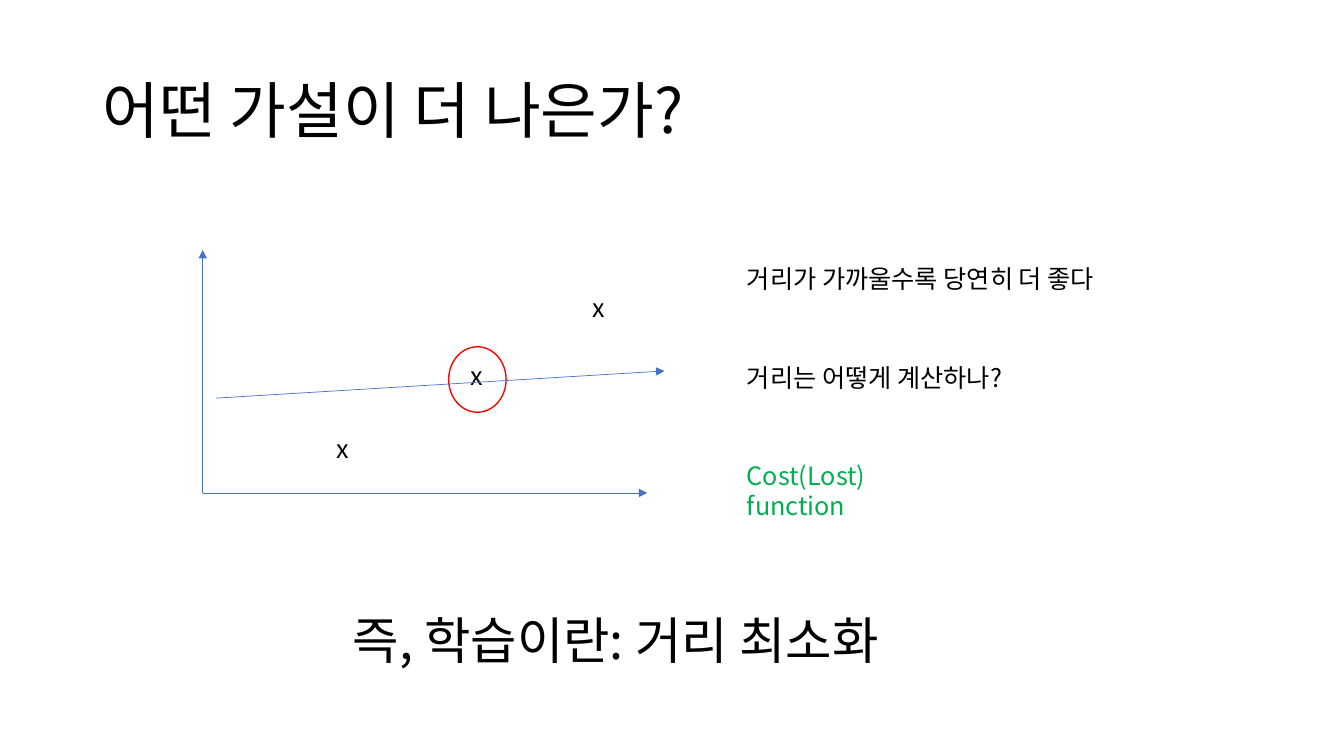
from lxml.etree import SubElement
from pptx import Presentation
from pptx.dml.color import RGBColor
from pptx.enum.shapes import MSO_CONNECTOR, MSO_SHAPE
from pptx.enum.text import MSO_ANCHOR
from pptx.oxml.ns import qn
from pptx.util import Inches, Pt

# Content
FONT = "Noto Sans CJK KR"
BLACK, GREEN, BLUE, RED, WHITE = "000000", "00B050", "4472C4", "FF0000", "FFFFFF"

TITLE = "어떤 가설이 더 나은가?"
CONCLUSION = "즉, 학습이란: 거리 최소화"
REMARKS_LEFT = 7.31
REMARKS = [  # text, top, width, colour
    ("거리가 가까울수록 당연히 더 좋다", 2.56, 4.09, BLACK),
    ("거리는 어떻게 계산하나?", 3.55, 3.02, BLACK),
    ("Cost(Lost) function", 4.52, 2.3, GREEN),
]
ORIGIN = (2.01, 4.89)
AXIS_ENDS = [(2.01, 2.48), (6.42, 4.89)]
HYPOTHESIS = ((2.14, 3.95), (6.59, 3.68))
DATA_POINTS = [(3.24, 4.25), (4.57, 3.53), (5.78, 2.85)]
HIGHLIGHT = (4.45, 3.44, 0.57, 0.65)

presentation = Presentation()
presentation.slide_width, presentation.slide_height = Inches(13.33), Inches(7.5)
slide = presentation.slides.add_slide(presentation.slide_layouts[6])


def color(hex_value):
    return RGBColor.from_string(hex_value)


def add_text(text, left, top, width, height=0.4, size=18, ink=BLACK):
    box = slide.shapes.add_textbox(*map(Inches, (left, top, width, height)))
    frame = box.text_frame
    frame.word_wrap = True
    paragraph = frame.paragraphs[0]
    paragraph.text = text
    font = paragraph.font
    font.name, font.size = FONT, Pt(size)
    font.color.rgb = color(ink)
    # East Asian glyphs need their own typeface entry
    properties = paragraph._p.pPr.find(qn("a:defRPr"))
    SubElement(properties, qn("a:ea")).set("typeface", FONT)
    return frame


def add_arrow(start, end):
    arrow = slide.shapes.add_connector(
        MSO_CONNECTOR.STRAIGHT, *map(Inches, (*start, *end)))
    arrow.line.color.rgb = color(BLUE)
    arrow.line.width = Pt(0.5)
    SubElement(arrow.line._get_or_add_ln(), qn("a:tailEnd")).set("type", "triangle")
    SubElement(arrow._element.spPr, qn("a:effectLst"))


# Circle around the point nearest the hypothesis
circle = slide.shapes.add_shape(MSO_SHAPE.OVAL, *map(Inches, HIGHLIGHT))
circle.shadow.inherit = False
circle.fill.solid()
circle.fill.fore_color.rgb = color(WHITE)
circle.line.color.rgb = color(RED)
circle.line.width = Pt(1)

# Title
title = add_text(TITLE, 0.92, 0.4, 11.5, 1.45, size=44)
title.vertical_anchor = MSO_ANCHOR.MIDDLE
title.paragraphs[0].line_spacing = 0.9

# Axes, data points and hypothesis line
for axis_end in AXIS_ENDS:
    add_arrow(ORIGIN, axis_end)
for left, top in DATA_POINTS:
    add_text("x", left, top, 0.32)
add_arrow(*HYPOTHESIS)

# Remarks and conclusion
for remark, top, width, ink in REMARKS:
    add_text(remark, REMARKS_LEFT, top, width, ink=ink)
add_text(CONCLUSION, 3.4, 5.99, 6, 0.71, size=36)

presentation.save("out.pptx")
